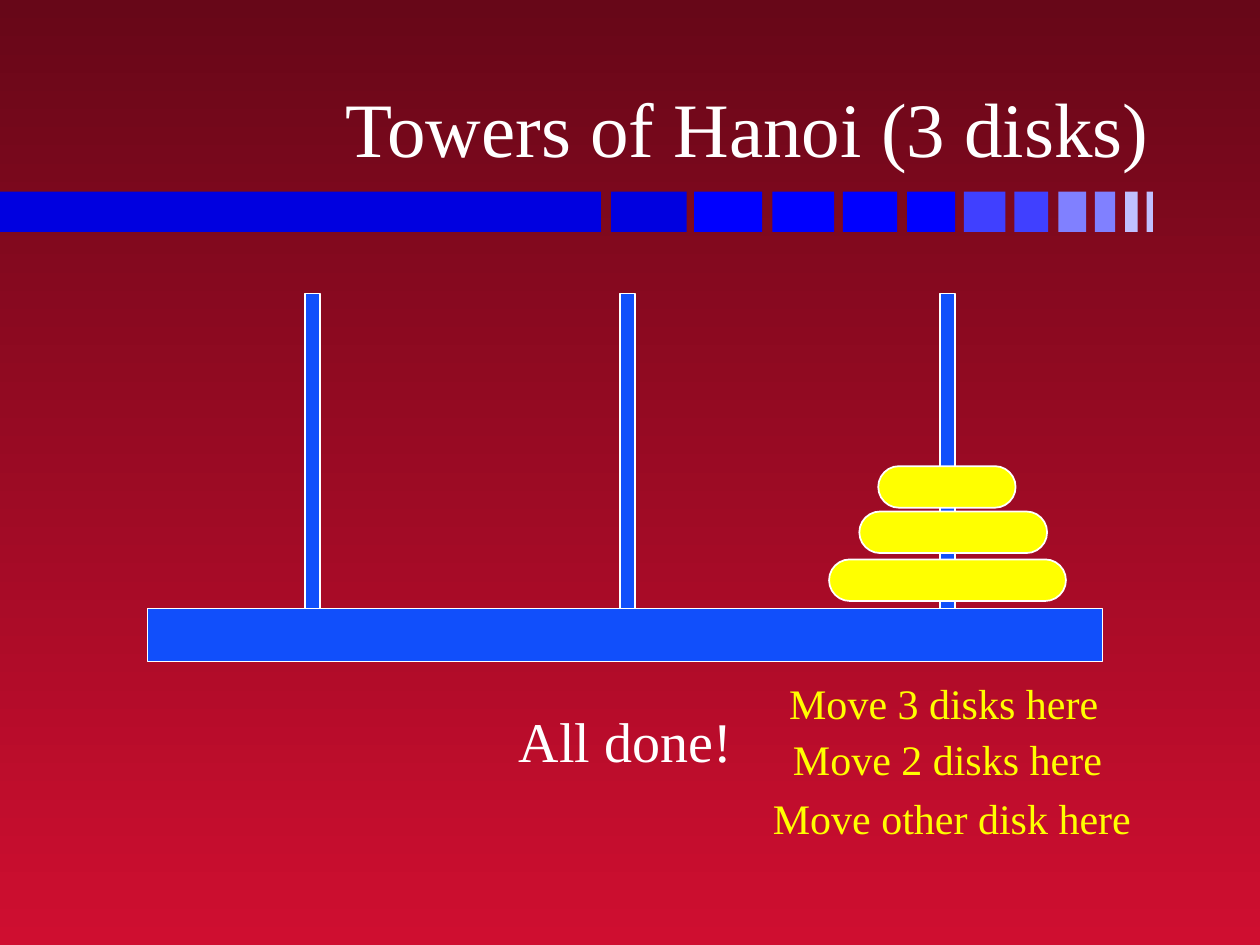
from typing import NamedTuple

from pptx import Presentation
from pptx.dml.color import RGBColor
from pptx.enum.shapes import MSO_SHAPE as Shape
from pptx.enum.text import MSO_ANCHOR as Anchor, PP_ALIGN as Align
from pptx.util import Inches, Pt

COLORS = {
    "top": "670718", "bottom": "CF0E30", "white": "FFFFFF",
    "wood": "114FFB", "disk": "FFFF00",
    "navy": "0000E0", "blue": "0000FF", "mid": "4040FF",
    "light": "8080FF", "pale": "C0C0FF",
}
FONT = "Times New Roman"
COLUMNS, ROWS = 100, 75  # square grid cells over the slide

deck = Presentation()
deck.slide_width, deck.slide_height = Inches(10), Inches(7.5)
page = deck.slides.add_slide(deck.slide_layouts[6])


class Area(NamedTuple):
    """Left, top, width and height in grid cells."""
    left: float
    top: float
    width: float
    height: float

    def lengths(self) -> list[int]:
        across, down = deck.slide_width / COLUMNS, deck.slide_height / ROWS
        return [round(cells * size) for cells, size in zip(self, (across, down, across, down))]


class Band(NamedTuple):
    left: float
    width: float
    color: str


class Disk(NamedTuple):
    left: float
    top: float
    width: float


class Label(NamedTuple):
    text: str
    area: Area
    color: str = "disk"
    size: int = 24


def rgb(name: str) -> RGBColor:
    return RGBColor.from_string(COLORS[name])


def add_block(area: Area, color: str, kind=Shape.RECTANGLE, outlined: bool = True):
    block = page.shapes.add_shape(kind, *area.lengths())
    block.shadow.inherit = False
    block.fill.solid()
    block.fill.fore_color.rgb = rgb(color)
    if outlined:
        block.line.color.rgb = rgb("white")
        block.line.width = Pt(1)
    else:
        block.line.fill.background()
    return block


def add_text(text: str, area: Area, *, size: int, color: str = "white",
             align=Align.CENTER, anchor=Anchor.TOP, wrap: bool = False) -> None:
    frame = page.shapes.add_textbox(*area.lengths()).text_frame
    frame.word_wrap = wrap
    frame.vertical_anchor = anchor
    para = frame.paragraphs[0]
    para.alignment = align
    span = para.add_run()
    span.text = text
    span.font.name, span.font.size = FONT, Pt(size)
    span.font.color.rgb = rgb(color)


def paint_background() -> None:
    fill = page.background.fill
    fill.gradient()
    fill.gradient_angle = 270  # counter-clockwise, so it runs downwards
    for stop, position, name in zip(fill.gradient_stops, (0, 1), ("top", "bottom")):
        stop.position = position
        stop.color.rgb = rgb(name)


BANDS = [
    Band(0, 47.7, "navy"), Band(48.5, 6, "navy"),
    Band(55.1, 5.4, "blue"), Band(61.3, 4.9, "blue"),
    Band(66.9, 4.3, "blue"), Band(72, 3.8, "blue"),
    Band(76.5, 3.3, "mid"), Band(80.5, 2.7, "mid"),
    Band(84, 2.2, "light"), Band(86.9, 1.6, "light"),
    Band(89.3, 1, "pale"), Band(91, 0.5, "pale"),
]
BASE = Area(11.7, 48.3, 75.8, 4.2)
PEG_LEFTS = (24.2, 49.2, 74.6)
PEG_WIDTH, PEG_HEIGHT = 1.2, 25
DISK_HEIGHT = 3.3
DISKS = [Disk(65.8, 44.4, 18.8), Disk(68.2, 40.6, 14.9), Disk(69.7, 37, 10.9)]
LABELS = [
    Label("Move 3 disks here", Area(61.5, 53.3, 26.8, 5)),
    Label("Move 2 disks here", Area(61.8, 57.7, 26.8, 5)),
    Label("Move other disk here", Area(60.2, 62.4, 30.7, 5)),
    Label("All done!", Area(40.1, 55.6, 19.1, 6.4), "white", 32),
]

paint_background()
for band in BANDS:
    add_block(Area(band.left, 15.2, band.width, 3.2), band.color, outlined=False)
add_text("Towers of Hanoi (3 disks)", Area(7.4, 1.9, 84.8, 12.3), size=44,
         align=Align.RIGHT, anchor=Anchor.BOTTOM, wrap=True)

add_block(BASE, "wood")
for left in PEG_LEFTS:
    add_block(Area(left, BASE.top - PEG_HEIGHT, PEG_WIDTH, PEG_HEIGHT), "wood")
for disk in DISKS:
    pill = add_block(Area(*disk, DISK_HEIGHT), "disk", Shape.ROUNDED_RECTANGLE)
    pill.adjustments[0] = 0.5
for label in LABELS:
    add_text(label.text, label.area, size=label.size, color=label.color)

deck.save("out.pptx")
